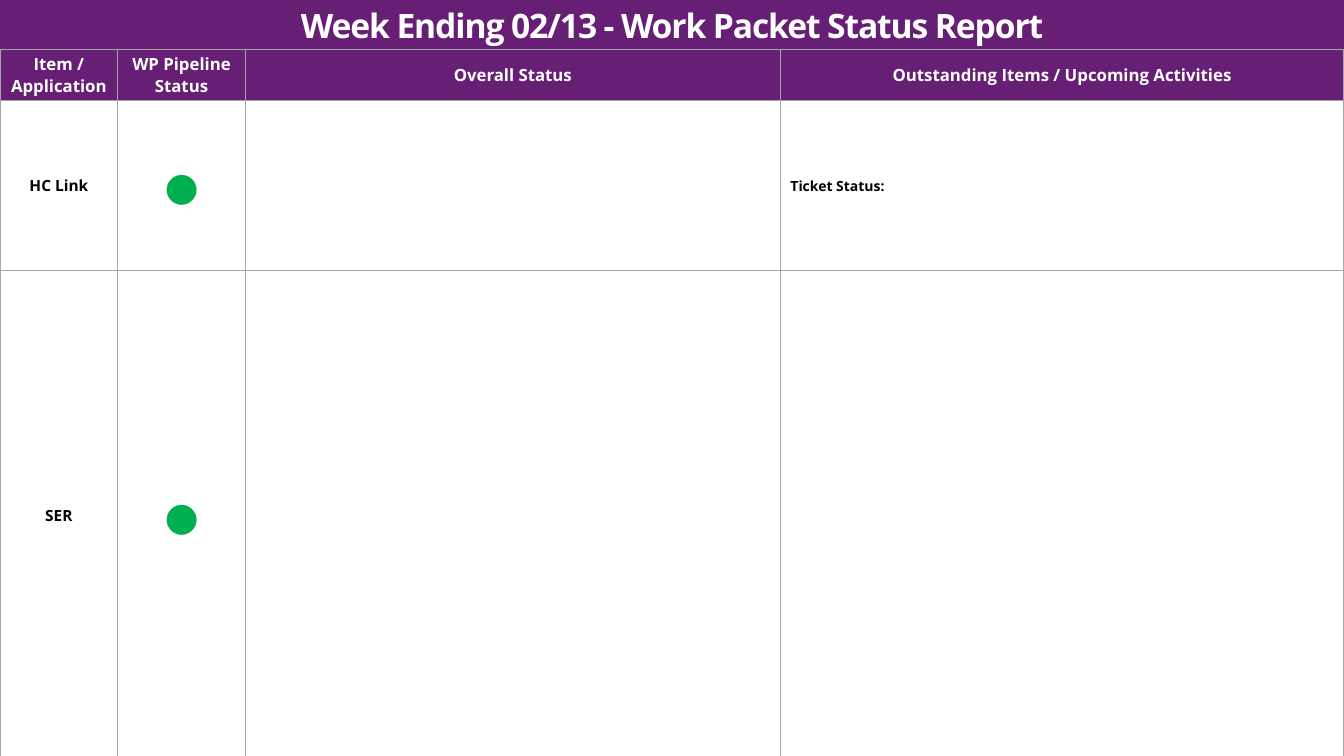
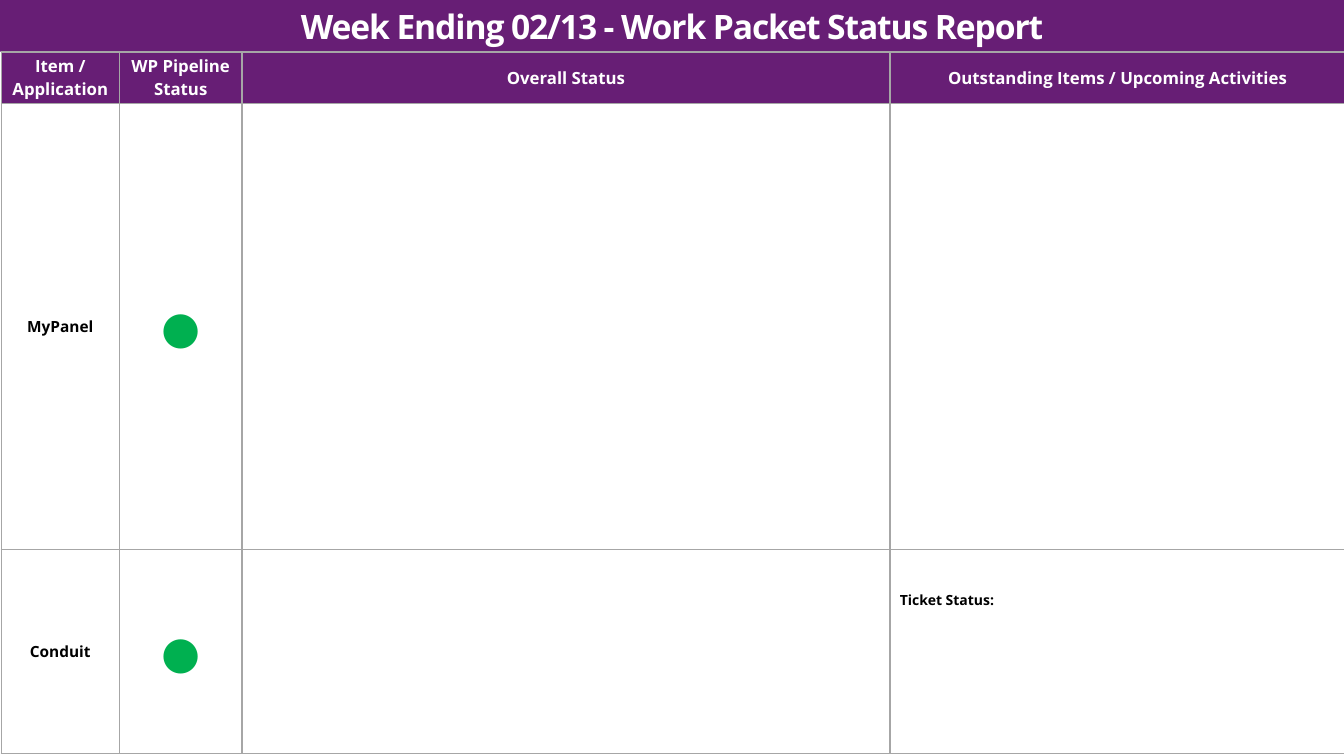
"""Builds a two-slide weekly work packet status report."""
from lxml.etree import SubElement
from pptx import Presentation
from pptx.dml.color import RGBColor
from pptx.enum.shapes import MSO_SHAPE
from pptx.enum.text import MSO_ANCHOR, PP_ALIGN
from pptx.oxml.ns import qn
from pptx.util import Cm, Pt

COLORS = {
    "purple": "671E75",
    "white": "FFFFFF",
    "black": "000000",
    "green": "00B050",
    "grid": "A6A6A6",
}
FONT = "Open Sans"
TITLE = "Week Ending 02/13 - Work Packet Status Report"
HEADERS = ["Item / Application", "WP Pipeline Status", "Overall Status",
           "Outstanding Items / Upcoming Activities"]
TICKET = "Ticket Status:"
SLIDES = [
    {"band": 1.24, "left": 0, "top": 1.24, "dot": 28,
     "cols": [2.97, 3.21, 13.49, 14.2], "rows": [1.19, 4.29, 12.32],
     "items": [["HC Link", "●", "", TICKET], ["SER", "●", "", ""]]},
    {"band": 1.3, "left": 0.03, "top": 1.31, "dot": 32, "ticket_top": 1.02,
     "cols": [2.98, 3.09, 16.33, 11.48], "rows": [1.19, 11.25, 5.13],
     "items": [["MyPanel", "●", "", ""], ["Conduit", "●", "", TICKET]]},
]


def write(tf, text, size, color, align=PP_ALIGN.CENTER):
    tf.text = text
    p = tf.paragraphs[0]
    p.alignment = align
    for r in p.runs:
        r.font.name = FONT
        r.font.size = Pt(size)
        r.font.bold = True
        r.font.color.rgb = RGBColor.from_string(COLORS[color])
    return p


def style_cell(cell, fill, margin):
    tcPr = cell._tc.get_or_add_tcPr()
    for side in ("lnL", "lnR", "lnT", "lnB"):
        ln = SubElement(tcPr, qn(f"a:{side}"), w=str(Pt(1)))
        solid = SubElement(ln, qn("a:solidFill"))
        SubElement(solid, qn("a:srgbClr"), val=COLORS["grid"])
    cell.fill.solid()
    cell.fill.fore_color.rgb = RGBColor.from_string(COLORS[fill])
    cell.vertical_anchor = MSO_ANCHOR.MIDDLE
    cell.margin_left = cell.margin_right = Cm(0.25)
    cell.margin_top = cell.margin_bottom = Cm(margin)


prs = Presentation()
prs.slide_width, prs.slide_height = Cm(33.87), Cm(19.05)

for page in SLIDES:
    s = prs.slides.add_slide(prs.slide_layouts[6])

    band = s.shapes.add_shape(MSO_SHAPE.RECTANGLE, 0, 0, prs.slide_width, Cm(page["band"]))
    band.shadow.inherit = False
    band.fill.solid()
    band.fill.fore_color.rgb = RGBColor.from_string(COLORS["purple"])
    band.line.fill.background()
    tf = band.text_frame
    tf.word_wrap = True
    tf.vertical_anchor = MSO_ANCHOR.MIDDLE
    tf.margin_left = tf.margin_right = tf.margin_bottom = 0
    tf.margin_top = Cm(0.13)
    p = write(tf, TITLE, 24, "white")
    p.line_spacing = 0.9
    p.runs[0].font._element.set("spc", "-80")

    cols, rows = page["cols"], page["rows"]
    table = s.shapes.add_table(len(rows), len(cols), Cm(page["left"]), Cm(page["top"]),
                               Cm(sum(cols)), Cm(sum(rows))).table
    table.first_row = table.horz_banding = False
    for col, width in zip(table.columns, cols):
        col.width = Cm(width)
    for row, height in zip(table.rows, rows):
        row.height = Cm(height)

    for cell, text in zip(table.rows[0].cells, HEADERS):
        style_cell(cell, "purple", 0.07)
        write(cell.text_frame, text, 12, "white")

    for i, item in enumerate(page["items"], 1):
        for cell, text in zip(table.rows[i].cells, item):
            style_cell(cell, "white", 0.05)
            if text == "●":
                p = write(cell.text_frame, text, page["dot"], "green")
                p.space_before = Pt(4)
            elif text == TICKET:
                write(cell.text_frame, text, 10, "black", PP_ALIGN.JUSTIFY)
                if "ticket_top" in page:
                    cell.vertical_anchor = MSO_ANCHOR.TOP
                    cell.margin_top = Cm(page["ticket_top"])
            elif text:
                write(cell.text_frame, text, 11, "black")

prs.save("out.pptx")
